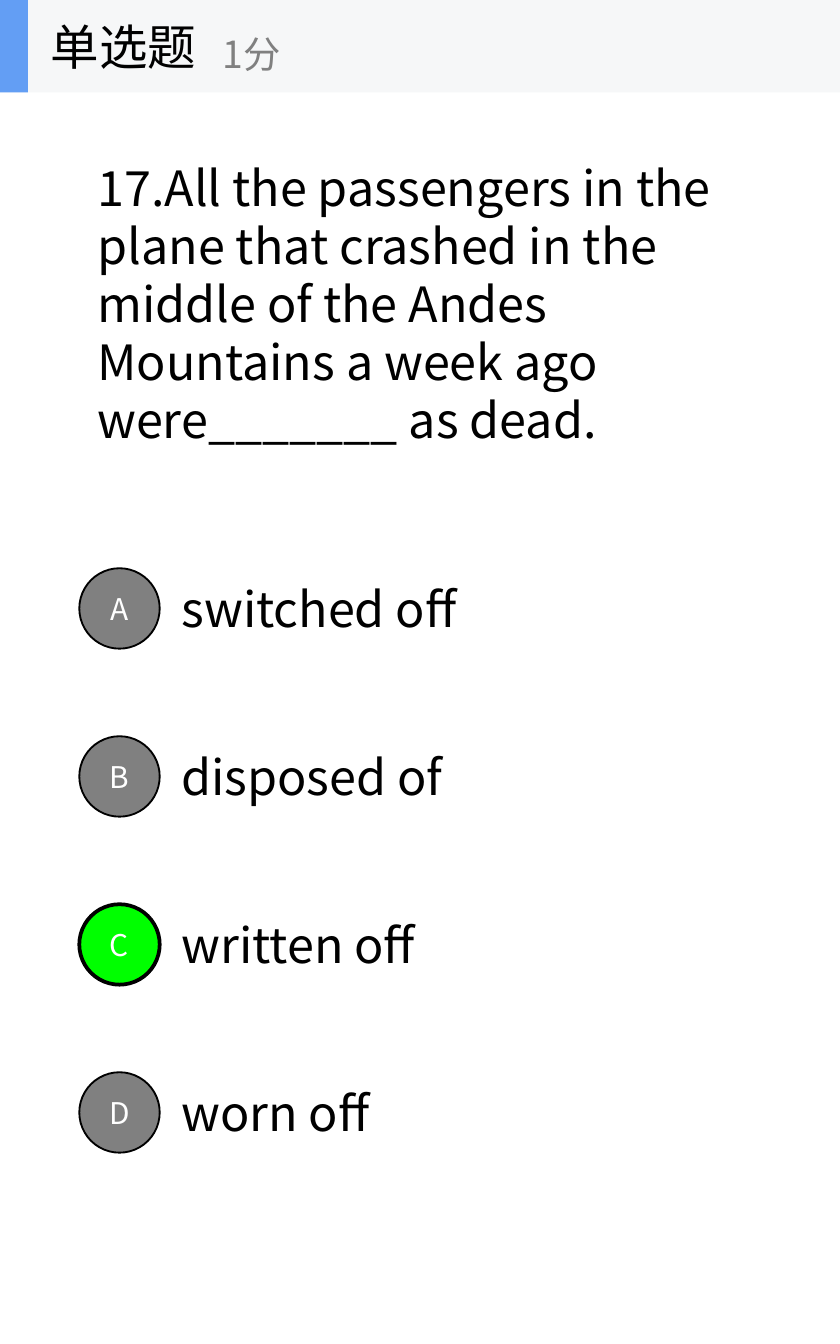
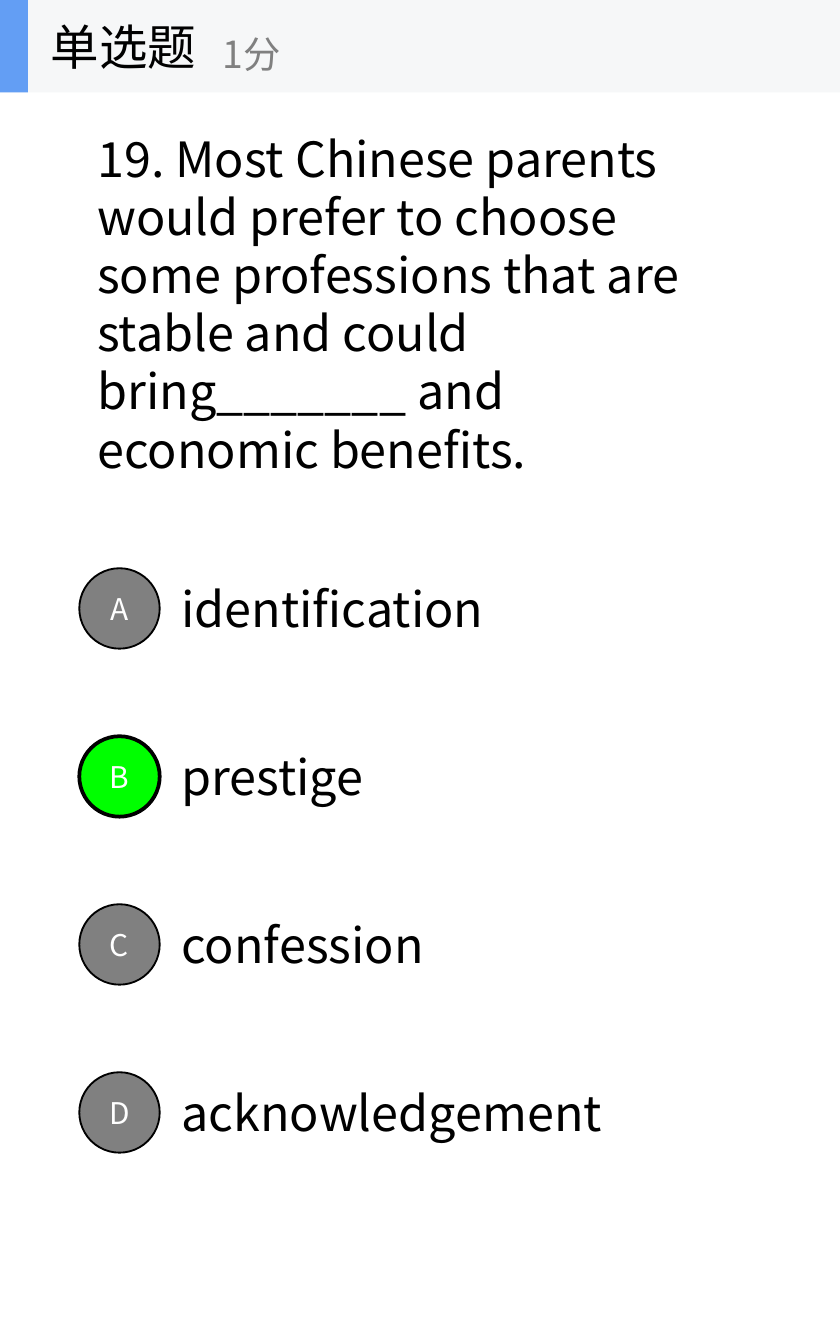
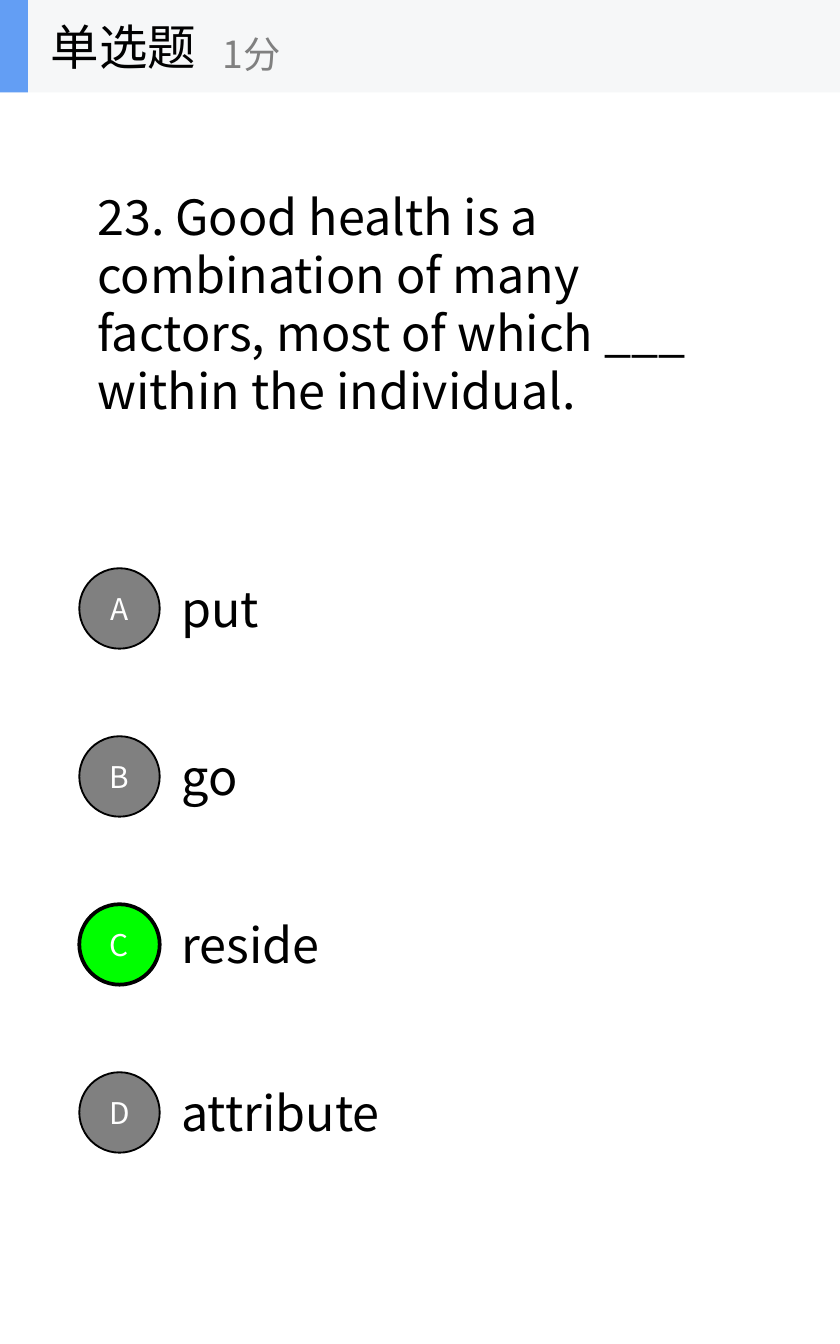
import lxml.etree
import pptx
import pptx.dml.color
import pptx.enum.shapes
import pptx.enum.text
import pptx.oxml.ns
import pptx.util

Cm = pptx.util.Cm
SHAPE = pptx.enum.shapes.MSO_SHAPE
ALIGN = pptx.enum.text.PP_ALIGN
GROW = pptx.enum.text.MSO_AUTO_SIZE.SHAPE_TO_FIT_TEXT

# Boxes are (width, height) in cm; each option is (text, box width).
QUESTIONS = [
    {
        "text": "17.All the passengers in the plane that crashed in the middle "
                "of the Andes Mountains a week ago were_______ as dead.",
        "box": (12.7, 5.77),
        "options": [("switched off", 5.84), ("disposed of", 5.61),
                    ("written off", 5.05), ("worn off", 4.19)],
        "option_height": 1.35,
        "answer": "C",
        "grow": True,
    },
    {
        "text": "19. Most Chinese parents would prefer to choose some professions "
                "that are stable and could bring_______ and economic benefits.",
        "box": (12.47, 6.86),
        "options": [("identification", 6.27), ("prestige", 4.06),
                    ("confession", 5.21), ("acknowledgement", 8.59)],
        "option_height": 1.35,
        "answer": "B",
        "grow": True,
    },
    {
        "text": "23. Good health is a combination of many factors, most of which "
                "___ within the individual.",
        "box": (12.7, 7.92),
        "options": [("put", 11.13), ("go", 11.13),
                    ("reside", 11.13), ("attribute", 11.13)],
        "option_height": 2.39,
        "answer": "C",
        "grow": False,
    },
]
QUESTION_TYPE = "单选题"
POINTS = "1分"

FONT = "Noto Sans CJK SC"
COLORS = {
    "text": "000000",
    "muted": "808080",
    "badge_text": "FFFFFF",
    "correct": "00FF00",
    "band": "F6F7F8",
    "accent": "639EF4",
}

SLIDE_WIDTH, SLIDE_HEIGHT = 15.88, 25.4
BAND_HEIGHT = 1.75
QUESTION_LEFT, QUESTION_MIDDLE = 1.59, 5.73
OPTION_LEFT, FIRST_OPTION_MIDDLE = 3.18, 11.5
OPTION_STEP = SLIDE_HEIGHT / 8
BADGE_LEFT, BADGE_SIZE = 1.5, 1.52


def rgb(name):
    return pptx.dml.color.RGBColor.from_string(COLORS[name])


def write(shape, text, size=26, color="text", align=ALIGN.LEFT, wrap=True, grow=False):
    frame = shape.text_frame
    frame.word_wrap = wrap
    frame.vertical_anchor = pptx.enum.text.MSO_ANCHOR.MIDDLE
    if grow:
        frame.auto_size = GROW
    paragraph = frame.paragraphs[0]
    paragraph.alignment = align
    run = paragraph.add_run()
    run.text = text
    run.font.size = pptx.util.Pt(size)
    run.font.color.rgb = rgb(color)
    run.font.name = FONT
    east_asian = lxml.etree.SubElement(run._r.get_or_add_rPr(), pptx.oxml.ns.qn("a:ea"))
    east_asian.set("typeface", FONT)


def add_text(shapes, box, text, **text_format):
    write(shapes.add_textbox(*map(Cm, box)), text, **text_format)


def add_filled(shapes, kind, box, fill, line_width=0):
    shape = shapes.add_shape(kind, *map(Cm, box))
    shape.shadow.inherit = False
    shape.fill.solid()
    shape.fill.fore_color.rgb = rgb(fill)
    if line_width:
        shape.line.color.rgb = rgb("text")
        shape.line.width = pptx.util.Pt(line_width)
    else:
        shape.line.fill.background()
    return shape


def add_header(slide):
    shapes = slide.shapes.add_group_shape().shapes
    add_filled(shapes, SHAPE.RECTANGLE, (0, 0, SLIDE_WIDTH, BAND_HEIGHT), "band")
    add_filled(shapes, SHAPE.RECTANGLE, (0, 0, 0.53, BAND_HEIGHT), "accent")
    add_text(shapes, (0.71, 0, 5.28, BAND_HEIGHT), QUESTION_TYPE, wrap=False)
    add_text(shapes, (3.96, 0.3, 6.35, 1.42), POINTS, size=20, color="muted", wrap=False)


def add_option(slide, letter, text, middle, width, height, correct, grow):
    add_text(slide.shapes, (OPTION_LEFT, middle - height / 2, width, height), text, grow=grow)
    badge = add_filled(
        slide.shapes, SHAPE.OVAL,
        (BADGE_LEFT, middle - BADGE_SIZE / 2, BADGE_SIZE, BADGE_SIZE),
        "correct" if correct else "muted", line_width=2 if correct else 1)
    write(badge, letter, size=16, color="badge_text", align=ALIGN.CENTER)


def add_question(presentation, question):
    slide = presentation.slides.add_slide(presentation.slide_layouts[6])
    width, height = question["box"]
    add_text(slide.shapes, (QUESTION_LEFT, QUESTION_MIDDLE - height / 2, width, height),
             question["text"], grow=question["grow"])
    for index, (letter, (text, option_width)) in enumerate(zip("ABCD", question["options"])):
        add_option(slide, letter, text, FIRST_OPTION_MIDDLE + index * OPTION_STEP,
                   option_width, question["option_height"],
                   letter == question["answer"], question["grow"])
    add_header(slide)


def main():
    presentation = pptx.Presentation()
    presentation.slide_width = Cm(SLIDE_WIDTH)
    presentation.slide_height = Cm(SLIDE_HEIGHT)
    for question in QUESTIONS:
        add_question(presentation, question)
    presentation.save("out.pptx")


if __name__ == "__main__":
    main()
